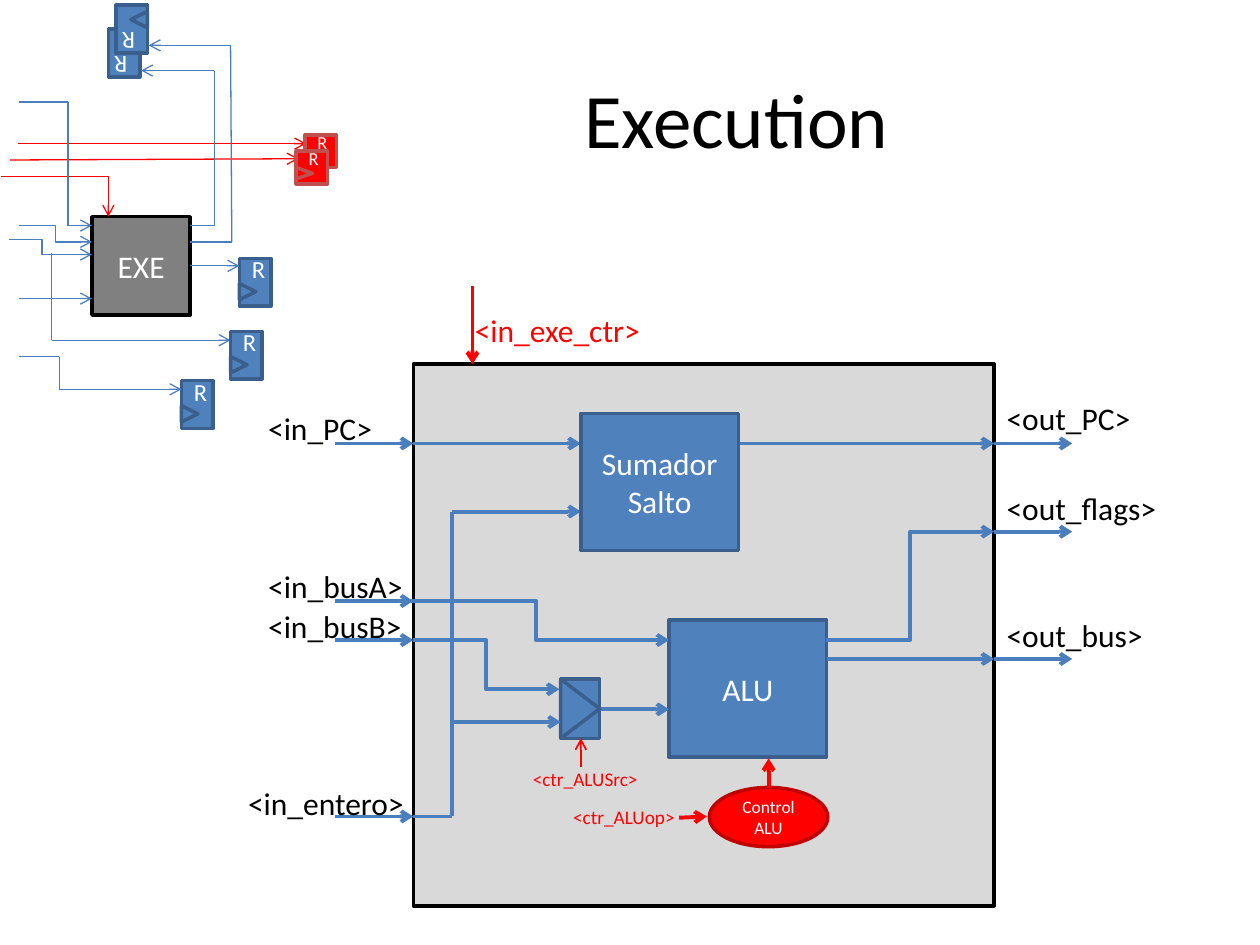
from dataclasses import dataclass
from itertools import pairwise

from lxml.etree import SubElement
from pptx import Presentation
from pptx.dml.color import RGBColor
from pptx.enum.shapes import MSO_CONNECTOR, MSO_SHAPE
from pptx.enum.text import MSO_ANCHOR, MSO_AUTO_SIZE, PP_ALIGN
from pptx.oxml.ns import qn
from pptx.util import Cm, Pt


@dataclass(frozen=True)
class Theme:
    """Colours, type sizes and line widths of the slide."""
    font: str = "Calibri"
    black: str = "000000"
    white: str = "FFFFFF"
    blue: str = "4F81BD"
    blue_edge: str = "3A5F8C"
    wire: str = "4B7EBC"
    red: str = "FF0000"
    red_edge: str = "C0504D"
    control_edge: str = "C00000"
    stage: str = "808080"
    panel: str = "D9D9D9"
    title: float = 44
    body: float = 18
    register: float = 14
    flag: float = 10.5
    signal: float = 11
    control: float = 10
    edge: float = 2
    thin: float = 0.75
    medium: float = 1
    thick: float = 2.25


def inch(value):
    """Convert grid inches to a length."""
    return Cm(value * 2.54)


class Diagram:
    """Draws styled elements on one slide."""

    def __init__(self, slide, theme):
        """Keep the slide and its style."""
        self.shapes = slide.shapes
        self.theme = theme

    def set_text(self, frame, text, size, color, align):
        """Fill a text frame with one paragraph."""
        paragraph = frame.paragraphs[0]
        paragraph.text = text
        paragraph.alignment = align
        paragraph.font.name = self.theme.font
        paragraph.font.size = Pt(size)
        paragraph.font.color.rgb = RGBColor.from_string(color)

    def block(self, box, fill, edge, text="", size=None, kind=MSO_SHAPE.RECTANGLE, turn=0):
        """Draw a filled outline with optional centred text."""
        block = self.shapes.add_shape(kind, *map(inch, box))
        block.shadow.inherit = False
        block.rotation = turn
        block.fill.solid()
        block.fill.fore_color.rgb = RGBColor.from_string(fill)
        block.line.color.rgb = RGBColor.from_string(edge)
        block.line.width = Pt(self.theme.edge)
        if text:
            block.text_frame.vertical_anchor = MSO_ANCHOR.MIDDLE
            self.set_text(block.text_frame, text, size or self.theme.body,
                          self.theme.white, PP_ALIGN.CENTER)
        return block

    def wedge(self, box, fill, edge, turn=90):
        """Draw a turned triangle."""
        self.block(box, fill, edge, kind=MSO_SHAPE.ISOSCELES_TRIANGLE, turn=turn)

    def tag(self, box, fill, edge, size, turn=0):
        """Draw a box with an R at its top."""
        frame = self.block(box, fill, edge, "R", size, turn=turn).text_frame
        frame.vertical_anchor = MSO_ANCHOR.TOP
        frame.margin_top = Cm(-0.08)
        frame.margin_bottom = 0

    def register(self, x, y, flipped=False):
        """Draw a blue register with its clock wedge."""
        t = self.theme
        self.tag((x, y, 0.25, 0.38), t.blue, t.blue_edge, t.register, 180 if flipped else 0)
        dx, dy, turn = (0.12, 0.05, 270) if flipped else (0, 0.2, 90)
        self.wedge((x + dx, y + dy, 0.13, 0.13), t.blue, t.blue_edge, turn)

    def wire(self, start, end, color, width, arrow=True, kind=MSO_CONNECTOR.STRAIGHT, bend=0.5):
        """Draw one connector, straight or bent."""
        wire = self.shapes.add_connector(kind, *map(inch, (*start, *end)))
        wire.line.color.rgb = RGBColor.from_string(color)
        wire.line.width = Pt(width)
        properties = wire._element.spPr
        if arrow:
            SubElement(properties.get_or_add_ln(), qn("a:tailEnd"), type="arrow")
        SubElement(properties, qn("a:effectLst"))
        if bend != 0.5:
            guides = properties.find(qn("a:prstGeom")).find(qn("a:avLst"))
            SubElement(guides, qn("a:gd"), name="adj1", fmla=f"val {round(bend * 100000)}")

    def route(self, points, color, width, arrow=True):
        """Join points by straight wires, with the arrow on the last."""
        legs = list(pairwise(points))
        for number, (start, end) in enumerate(legs, 1):
            self.wire(start, end, color, width, arrow and number == len(legs))

    def elbow(self, start, end, width, bend=0.5):
        """Draw a bent blue wire with an arrow."""
        self.wire(start, end, self.theme.wire, width, kind=MSO_CONNECTOR.ELBOW, bend=bend)

    def label(self, box, text, size, color):
        """Add a one-line signal name."""
        frame = self.shapes.add_textbox(*map(inch, box)).text_frame
        frame.word_wrap = False
        frame.auto_size = MSO_AUTO_SIZE.SHAPE_TO_FIT_TEXT
        self.set_text(frame, text, size, color, PP_ALIGN.LEFT)

    def title(self, box, text):
        """Add the centred slide title."""
        frame = self.shapes.add_textbox(*map(inch, box)).text_frame
        frame.word_wrap = True
        frame.vertical_anchor = MSO_ANCHOR.MIDDLE
        self.set_text(frame, text, self.theme.title, self.theme.black, PP_ALIGN.CENTER)


def draw_overview(d):
    """Draw the stage among its pipeline registers."""
    t = d.theme
    d.route([(0.41, 2.01), (0.41, 2.7), (1.83, 2.7)], t.wire, t.thin)
    for corner in ((1.83, 2.63), (1.44, 3.02), (1.9, 2.05)):
        d.register(*corner)
    for corner in ((0.86, 0.23), (0.92, 0.04)):
        d.register(*corner, flipped=True)
    for start, end in (((0.14, 1.14), (2.43, 1.14)), ((0.08, 1.27), (2.37, 1.26))):
        d.wire(start, end, t.red, t.thin)
    for x, y in ((2.42, 1.07), (2.35, 1.2)):
        d.tag((x, y, 0.25, 0.26), t.red, t.red_edge, t.flag)
    d.wedge((2.37, 1.31, 0.09, 0.13), t.red, t.red_edge)

    d.block((0.73, 1.72, 0.78, 0.78), t.stage, t.black, "EXE")
    d.route([(0.01, 1.4), (0.86, 1.4), (0.86, 1.72)], t.red, t.thin)
    for points in (
        [(0.15, 2.83), (0.47, 2.83), (0.47, 3.09), (1.44, 3.09)],
        [(0.15, 0.81), (0.54, 0.81), (0.54, 1.79), (0.73, 1.79)],
        [(0.15, 2.37), (0.73, 2.37)],
        [(1.51, 1.79), (1.7, 1.79), (1.7, 0.56), (1.12, 0.56)],
        [(1.51, 1.92), (1.84, 1.92), (1.83, 0.36), (1.18, 0.36)],
        [(1.51, 2.11), (1.9, 2.11)],
    ):
        d.route(points, t.wire, t.thin)
    d.elbow((0.15, 1.79), (0.73, 1.92), t.thin)
    d.elbow((0.07, 1.9), (0.73, 2.02), t.thin, bend=0.4)


def draw_datapath(d):
    """Draw the inside of the execution stage."""
    t = d.theme
    left, right, stub = 3.28, 7.89, 0.62
    d.block((left, 2.89, right - left, 4.3), t.panel, t.black)
    for y in (3.52, 4.77, 5.08, 6.48):
        d.wire((left - stub, y), (left, y), t.wire, t.thick)
    for y in (5.23, 3.52, 4.22):
        d.wire((right, y), (right + stub, y), t.wire, t.thick)
    d.wire((3.75, 2.27), (3.75, 2.89), t.red, t.thick)

    d.block((5.31, 4.92, 1.25, 1.09), t.blue, t.blue_edge, "ALU")
    d.block((4.45, 5.39, 0.31, 0.47), t.blue, t.blue_edge)
    d.wedge((4.37, 5.47, 0.47, 0.31), t.blue, t.blue_edge)
    d.elbow((6.56, 5.08), (right, 4.22), t.thick)
    d.elbow((3.2, 4.77), (5.31, 5.08), t.thick)
    d.elbow((left, 5.08), (4.44, 5.47), t.thick)
    for points in (
        [(4.77, 5.63), (5.31, 5.63)],
        [(6.56, 5.23), (right, 5.23)],
        [(left, 6.48), (3.59, 6.48), (3.59, 4.06), (4.61, 4.06)],
        [(3.59, 5.73), (4.45, 5.73)],
        [(left, 3.52), (4.61, 3.52)],
        [(5.86, 3.52), (right, 3.52)],
    ):
        d.route(points, t.wire, t.thick)
    d.block((4.61, 3.28, 1.25, 1.09), t.blue, t.blue_edge, "Sumador Salto")

    d.wire((4.61, 6.09), (4.61, 5.86), t.red, t.medium)
    d.block((5.63, 6.25, 0.94, 0.47), t.red, t.control_edge, "Control ALU",
            t.control, MSO_SHAPE.OVAL)
    d.wire((6.1, 6.25), (6.1, 6.02), t.red, t.thick)
    d.wire((5.39, 6.49), (5.61, 6.48), t.red, t.thick)


def draw_labels(d):
    """Name the signals."""
    t = d.theme
    for x, y, width, name in (
        (2.03, 3.2, 1.04, "in_PC"), (2.03, 4.45, 1.28, "in_busA"),
        (2.03, 4.77, 1.27, "in_busB"), (1.87, 6.17, 1.45, "in_entero"),
        (7.89, 3.12, 1.2, "out_PC"), (7.89, 3.83, 1.4, "out_flags"),
        (7.89, 4.84, 1.3, "out_bus"),
    ):
        d.label((x, y, width, 0.4), f"<{name}>", t.body, t.black)
    d.label((3.67, 2.42, 1.53, 0.4), "<in_exe_ctr>", t.body, t.red)
    d.label((4.13, 6.04, 1.05, 0.29), "<ctr_ALUSrc>", t.signal, t.red)
    d.label((4.45, 6.34, 1.02, 0.29), "<ctr_ALUop>", t.signal, t.red)


def main():
    """Build and save the slide."""
    deck = Presentation()
    deck.slide_width, deck.slide_height = Cm(25.4), Cm(19.05)
    diagram = Diagram(deck.slides.add_slide(deck.slide_layouts[6]), Theme())
    diagram.title((3.36, 0.31, 4.97, 1.25), "Execution")
    draw_overview(diagram)
    draw_datapath(diagram)
    draw_labels(diagram)
    deck.save("out.pptx")


main()
